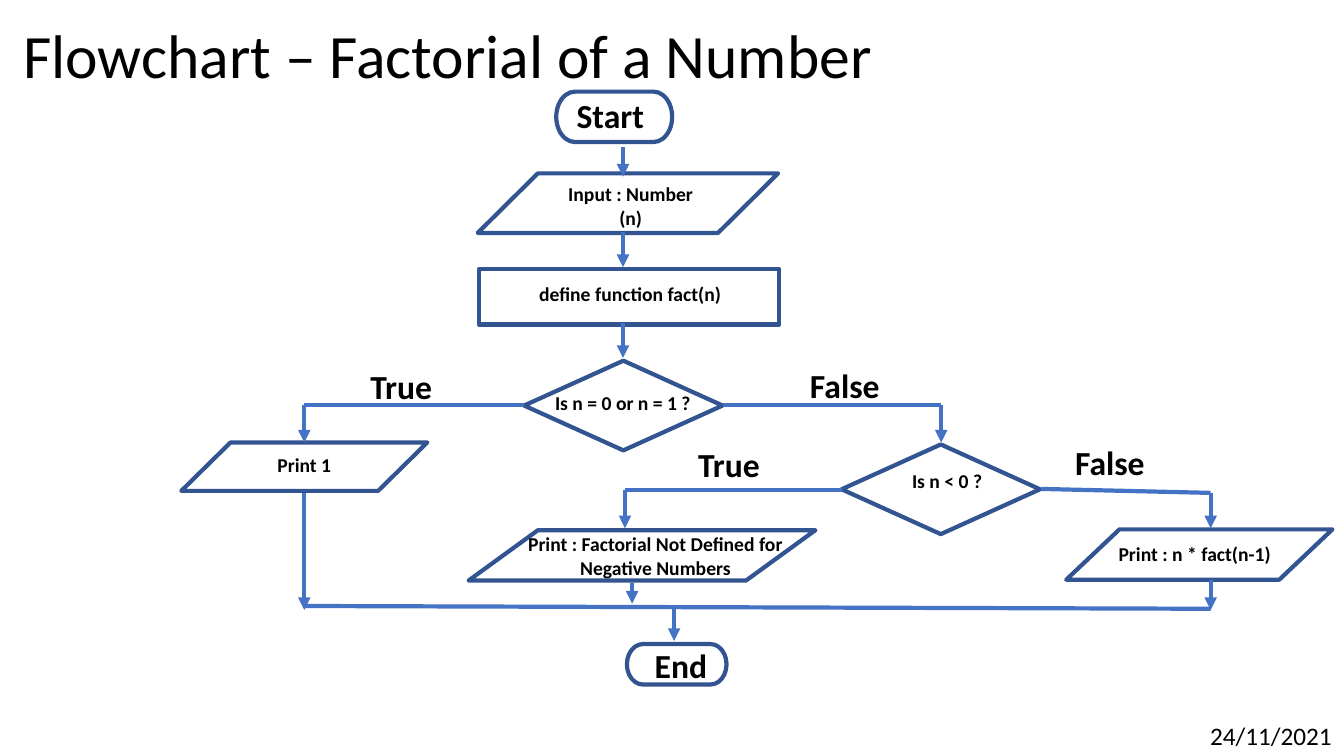
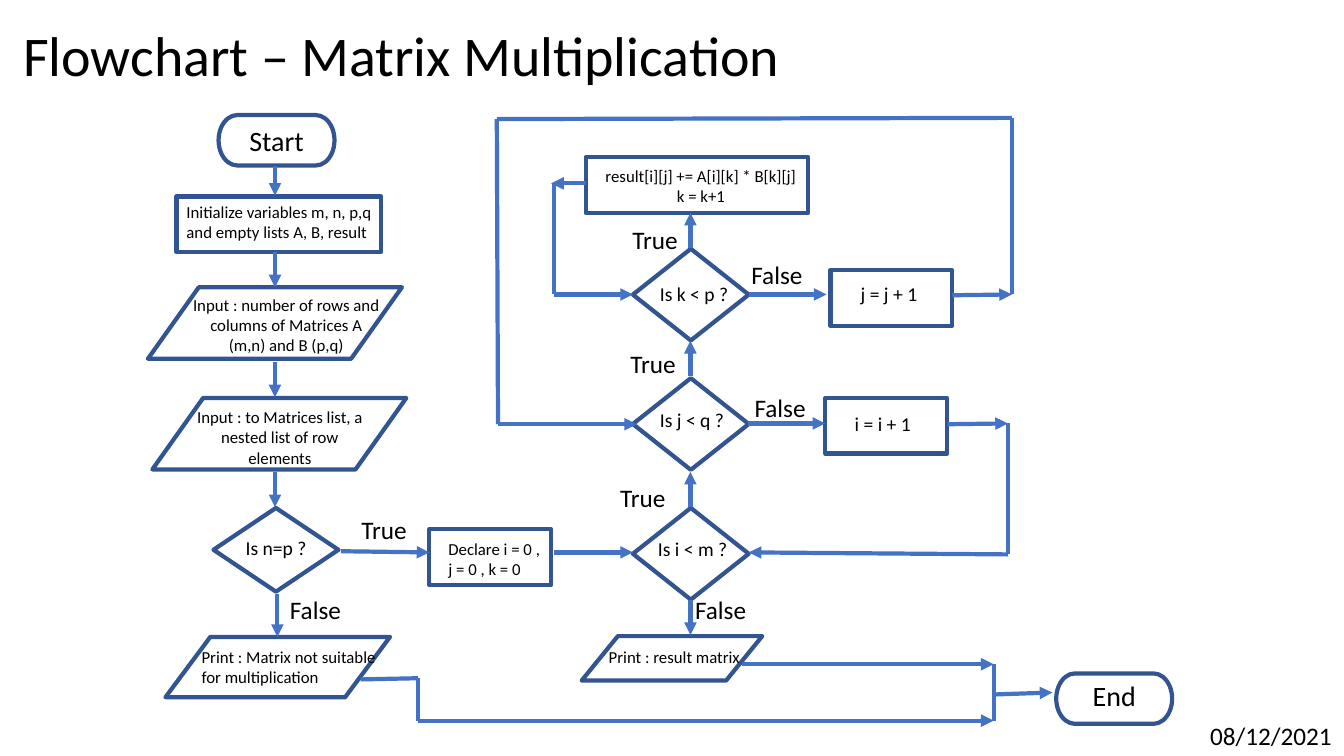
from dataclasses import dataclass, field

import pptx
import pptx.dml.color
import pptx.enum.shapes
import pptx.enum.text
import pptx.oxml
import pptx.oxml.ns
import pptx.presentation
import pptx.shapes.autoshape
import pptx.slide
import pptx.text.text
import pptx.util

Cm = pptx.util.Cm
RGB = pptx.dml.color.RGBColor
SHAPE = pptx.enum.shapes.MSO_SHAPE
ALIGN = pptx.enum.text.PP_ALIGN
FIT = pptx.enum.text.MSO_AUTO_SIZE

TERMINAL = SHAPE.FLOWCHART_TERMINATOR
DATA = SHAPE.FLOWCHART_DATA
PROCESS = SHAPE.FLOWCHART_PROCESS
DECISION = SHAPE.FLOWCHART_DECISION

Point = tuple[float, float]
Box = tuple[float, float, float, float]


# Theme: colours, type and the places every slide shares
@dataclass(frozen=True)
class TextStyle:
    size: float
    bold: bool = False


@dataclass(frozen=True)
class TypeScale:
    title: TextStyle
    terminal: TextStyle
    branch: TextStyle
    test: TextStyle
    step: TextStyle


@dataclass(frozen=True)
class Theme:
    font: str = "Calibri"
    text: RGB = RGB(0x00, 0x00, 0x00)
    outline: RGB = RGB(0x32, 0x54, 0x91)
    arrow: RGB = RGB(0x44, 0x72, 0xC4)
    stroke: float = 3
    date: TextStyle = TextStyle(18)
    title_box: Box = (0.33, -0.36, 29.21, 3.68)
    date_box: Box = (30.25, 18.03, 3.61, 1.02)
    strong: TypeScale = TypeScale(
        TextStyle(44), TextStyle(24, True), TextStyle(24, True),
        TextStyle(14, True), TextStyle(14, True))
    light: TypeScale = TypeScale(
        TextStyle(40), TextStyle(20), TextStyle(18),
        TextStyle(14), TextStyle(12))


THEME = Theme()
STRONG, LIGHT = THEME.strong, THEME.light


# Parts of a flowchart, measured in centimetres
@dataclass(frozen=True)
class Label:
    x: float
    y: float
    width: float
    lines: tuple[str, ...]
    style: TextStyle
    align: ALIGN = ALIGN.CENTER
    rows: int = 0  # rows after wrapping, when more than the paragraphs


@dataclass(frozen=True)
class Node:
    kind: SHAPE
    box: Box
    label: Label


@dataclass(frozen=True)
class Route:
    points: tuple[Point, ...]
    arrow: bool = True


@dataclass(frozen=True)
class Flowchart:
    title: str
    date: str
    scale: TypeScale
    nodes: list[Node] = field(default_factory=list)
    branches: list[Label] = field(default_factory=list)
    routes: list[Route] = field(default_factory=list)


def route(*points: Point) -> Route:
    return Route(points)


def vertical(x: float, *spans: tuple[float, float]) -> list[Route]:
    """Arrows that share one column."""
    return [route((x, start), (x, end)) for start, end in spans]


def branch_labels(scale: TypeScale, width: float,
                  *places: tuple[str, float, float]) -> list[Label]:
    return [Label(x, y, width, (answer,), scale.branch)
            for answer, x, y in places]


# Drawing
def write(paragraph: pptx.text.text._Paragraph, words: str, style: TextStyle,
          align: ALIGN = ALIGN.LEFT) -> None:
    paragraph.alignment = align
    run = paragraph.add_run()
    run.text = words
    run.font.name = THEME.font
    run.font.size = pptx.util.Pt(style.size)
    run.font.bold = style.bold
    run.font.color.rgb = THEME.text


def lengths(box: Box) -> list[int]:
    return [Cm(value) for value in box]


def draw_label(slide: pptx.slide.Slide, label: Label) -> None:
    rows = label.rows or len(label.lines)
    height = round(rows * label.style.size * 0.043 + 0.25, 2)
    area = slide.shapes.add_textbox(
        *lengths((label.x, label.y, label.width, height)))
    frame = area.text_frame
    frame.word_wrap = True
    frame.auto_size = FIT.SHAPE_TO_FIT_TEXT
    for index, line in enumerate(label.lines):
        paragraph = frame.add_paragraph() if index else frame.paragraphs[0]
        write(paragraph, line, label.style, label.align)


def draw_node(slide: pptx.slide.Slide, node: Node) -> None:
    outline = slide.shapes.add_shape(node.kind, *lengths(node.box))
    outline.shadow.inherit = False
    outline.fill.background()
    outline.line.color.rgb = THEME.outline
    outline.line.width = pptx.util.Pt(THEME.stroke)
    draw_label(slide, node.label)


def draw_route(slide: pptx.slide.Slide, path_: Route) -> None:
    legs = list(zip(path_.points, path_.points[1:]))
    for number, (start, end) in enumerate(legs, 1):
        leg = slide.shapes.add_connector(
            pptx.enum.shapes.MSO_CONNECTOR.STRAIGHT,
            *[Cm(value) for value in start + end])
        leg.line.color.rgb = THEME.arrow
        leg.line.width = pptx.util.Pt(THEME.stroke)
        if path_.arrow and number == len(legs):
            head = pptx.oxml.parse_xml(
                f'<a:tailEnd {pptx.oxml.ns.nsdecls("a")} type="triangle"/>')
            leg.line._get_or_add_ln().append(head)
        leg._element.spPr.append(pptx.oxml.parse_xml(
            f'<a:effectLst {pptx.oxml.ns.nsdecls("a")}/>'))


def draw_flowchart(deck: pptx.presentation.Presentation,
                   layout: pptx.slide.SlideLayout, chart: Flowchart) -> None:
    slide = deck.slides.add_slide(layout)
    heading = slide.shapes.title
    heading.left, heading.top, heading.width, heading.height = lengths(
        THEME.title_box)
    frame = heading.text_frame
    frame.auto_size = FIT.NONE
    frame.vertical_anchor = pptx.enum.text.MSO_ANCHOR.MIDDLE
    frame.paragraphs[0].line_spacing = 0.9
    write(frame.paragraphs[0], chart.title, chart.scale.title)

    date = slide.shapes.add_textbox(*lengths(THEME.date_box)).text_frame
    date.word_wrap = False
    date.auto_size = FIT.SHAPE_TO_FIT_TEXT
    write(date.paragraphs[0], chart.date, THEME.date)

    for node in chart.nodes:
        draw_node(slide, node)
    for path_ in chart.routes:
        draw_route(slide, path_)
    for answer in chart.branches:
        draw_label(slide, answer)


# Content: factorial
FACTORIAL = Flowchart(
    "Flowchart – Factorial of a Number", "24/11/2021", STRONG,
    nodes=[
        Node(TERMINAL, (14.02, 2.31, 2.92, 1.27),
             Label(14.25, 2.26, 2.26, ("Start",), STRONG.terminal)),
        Node(DATA, (12.04, 4.37, 7.57, 1.5),
             Label(13.23, 4.47, 5.33, ("Input : Number", "(n)"), STRONG.step)),
        Node(PROCESS, (12.07, 6.78, 7.57, 1.4),
             Label(11.84, 6.99, 8.08, ("define function fact(n)",),
                   STRONG.step)),
        Node(DECISION, (13.21, 9.09, 5, 2.26),
             Label(13.34, 9.73, 4.72, ("Is n = 0 or n = 1 ?",), STRONG.test)),
        Node(DECISION, (21.21, 11.2, 5, 2.26),
             Label(21.51, 11.68, 4.72, ("Is n < 0 ?",), STRONG.test)),
        Node(DATA, (4.57, 11.15, 6.2, 1.22),
             Label(3.63, 11.28, 8.08, ("Print 1",), STRONG.step)),
        Node(DATA, (11.81, 13.36, 8.74, 1.27),
             Label(12.95, 13.28, 7.14,
                   ("Print : Factorial Not Defined for Negative Numbers",),
                   STRONG.step, rows=2)),
        Node(DATA, (26.87, 13.34, 6.71, 1.27),
             Label(26.54, 13.54, 7.14, ("Print : n * fact(n-1)",),
                   STRONG.step)),
        Node(TERMINAL, (15.8, 16.23, 2.51, 1.02),
             Label(16.03, 16.13, 2.26, ("End",), STRONG.terminal)),
    ],
    branches=branch_labels(
        STRONG, 4.88,
        ("True", 7.67, 9.09), ("False", 18.85, 9.07),
        ("True", 15.93, 11.07), ("False", 25.53, 11.02)),
    routes=[
        *vertical(15.7, (3.71, 4.45), (5.84, 6.73), (8.15, 9.02)),
        route((13.21, 10.21), (7.67, 10.21), (7.67, 11.15)),
        route((18.21, 10.21), (23.72, 10.21), (23.72, 11.15)),
        route((21.21, 12.34), (15.75, 12.34), (15.75, 13.31)),
        route((26.24, 12.32), (30.51, 12.42), (30.51, 13.31)),
        *vertical(7.67, (12.42, 15.37)),
        *vertical(15.93, (14.68, 15.21)),
        *vertical(30.51, (14.61, 15.37)),
        Route(((7.67, 15.27), (30.51, 15.34)), arrow=False),
        *vertical(16.99, (15.32, 16.15)),
    ])

# Content: matrix multiplication
MATRIX = Flowchart(
    "Flowchart – Matrix Multiplication", "08/12/2021", LIGHT,
    nodes=[
        Node(TERMINAL, (5.51, 2.9, 2.92, 1.27),
             Label(5.84, 3, 2.26, ("Start",), LIGHT.terminal)),
        Node(PROCESS, (4.45, 4.95, 5.16, 1.4),
             Label(4.45, 4.95, 5.38, ("Initialize variables m, n, p,q",
                   "and empty lists A, B, result"), LIGHT.step, ALIGN.LEFT)),
        Node(DATA, (3.73, 7.24, 6.4, 1.8),
             Label(4.55, 7.29, 5.33, ("Input : number of rows and columns "
                   "of Matrices A (m,n) and B (p,q)",), LIGHT.step, rows=3)),
        Node(DATA, (3.84, 10.03, 6.4, 1.8),
             Label(4.39, 10.13, 5.33,
                   ("Input : to Matrices list, a nested list of row",
                    "elements"), LIGHT.step, rows=3)),
        Node(DECISION, (5.38, 12.8, 3.15, 2.11),
             Label(5.94, 13.39, 2.11, ("Is n=p ?",), LIGHT.test, ALIGN.LEFT)),
        Node(DATA, (4.17, 16.05, 5.66, 1.52),
             Label(4.83, 16.18, 5.38,
                   ("Print : Matrix not suitable for multiplication",),
                   LIGHT.step, ALIGN.LEFT, rows=2)),
        Node(PROCESS, (10.82, 13.34, 3.07, 1.4),
             Label(11.05, 13.44, 2.92, ("Declare i = 0 ,", "j = 0 , k = 0"),
                   LIGHT.step, ALIGN.LEFT)),
        Node(DECISION, (15.95, 12.8, 2.92, 2.31),
             Label(16.33, 13.41, 2.36, ("Is i < m ?",), LIGHT.test,
                   ALIGN.LEFT)),
        Node(DECISION, (15.95, 9.53, 2.92, 2.31),
             Label(16.38, 10.16, 2.36, ("Is j < q ?",), LIGHT.test,
                   ALIGN.LEFT)),
        Node(DECISION, (15.95, 6.27, 2.92, 2.31),
             Label(16.38, 6.99, 2.36, ("Is k < p ?",), LIGHT.test,
                   ALIGN.LEFT)),
        Node(PROCESS, (14.76, 3.96, 5.61, 1.4),
             Label(14.86, 4.06, 5.61, ("result[i][j] += A[i][k] * B[k][j]",
                   "k = k+1"), LIGHT.step)),
        Node(PROCESS, (20.93, 6.81, 3.07, 1.4),
             Label(21.44, 6.99, 2.92, ("j = j + 1",), LIGHT.test, ALIGN.LEFT)),
        Node(PROCESS, (20.8, 10.03, 3.07, 1.4),
             Label(21.29, 10.26, 2.92, ("i = i + 1",), LIGHT.test,
                   ALIGN.LEFT)),
        Node(DATA, (14.66, 16.03, 4.55, 1.12),
             Label(15.09, 16.18, 5.38, ("Print : result matrix",), LIGHT.step,
                   ALIGN.LEFT)),
        Node(TERMINAL, (26.62, 16.97, 2.92, 1.27),
             Label(26.95, 16.97, 2.26, ("End",), LIGHT.terminal)),
    ],
    branches=branch_labels(
        LIGHT, 2.08,
        ("True", 8.64, 12.83), ("False", 6.91, 14.86),
        ("True", 15.16, 12.04), ("False", 17.12, 14.86),
        ("True", 15.42, 8.66), ("False", 18.62, 9.75),
        ("True", 15.47, 5.54), ("False", 18.54, 6.4)),
    routes=[
        *vertical(6.93, (4.19, 4.93), (6.35, 7.24), (9.12, 10.01),
                  (11.89, 12.78)),
        *vertical(6.99, (14.96, 16.05)),
        route((8.59, 13.89), (10.82, 13.92)),
        route((13.97, 13.92), (15.95, 13.92)),
        *vertical(17.4, (12.78, 11.89), (9.47, 8.59), (6.25, 5.36),
                  (15.11, 16)),
        # Loop over k
        route((14.76, 4.62), (13.89, 4.62)),
        route((13.97, 4.62), (13.97, 7.42), (15.95, 7.42)),
        # Loop over j
        route((18.87, 7.42), (20.83, 7.42)),
        route((24, 7.44), (25.5, 7.42)),
        route((25.5, 7.42), (25.5, 2.97), (12.52, 3), (12.55, 10.69),
              (16.05, 10.69)),
        # Loop over i
        route((18.85, 10.67), (20.8, 10.67)),
        route((23.88, 10.69), (25.4, 10.67)),
        route((25.4, 10.67), (25.4, 13.97), (18.87, 13.92)),
        # Both results lead to the end
        route((9.09, 17.12), (10.54, 17.09), (10.54, 18.16), (25.04, 18.16)),
        route((18.69, 16.74), (25.04, 16.74)),
        Route(((25.04, 18.16), (25.04, 16.74)), arrow=False),
        route((25.04, 17.5), (26.52, 17.45)),
    ])


def main() -> None:
    deck = pptx.Presentation()
    deck.slide_width, deck.slide_height = Cm(33.87), Cm(19.05)
    title_only = deck.slide_layouts[5]
    for chart in (FACTORIAL, MATRIX):
        draw_flowchart(deck, title_only, chart)
    deck.save("out.pptx")


if __name__ == "__main__":
    main()
